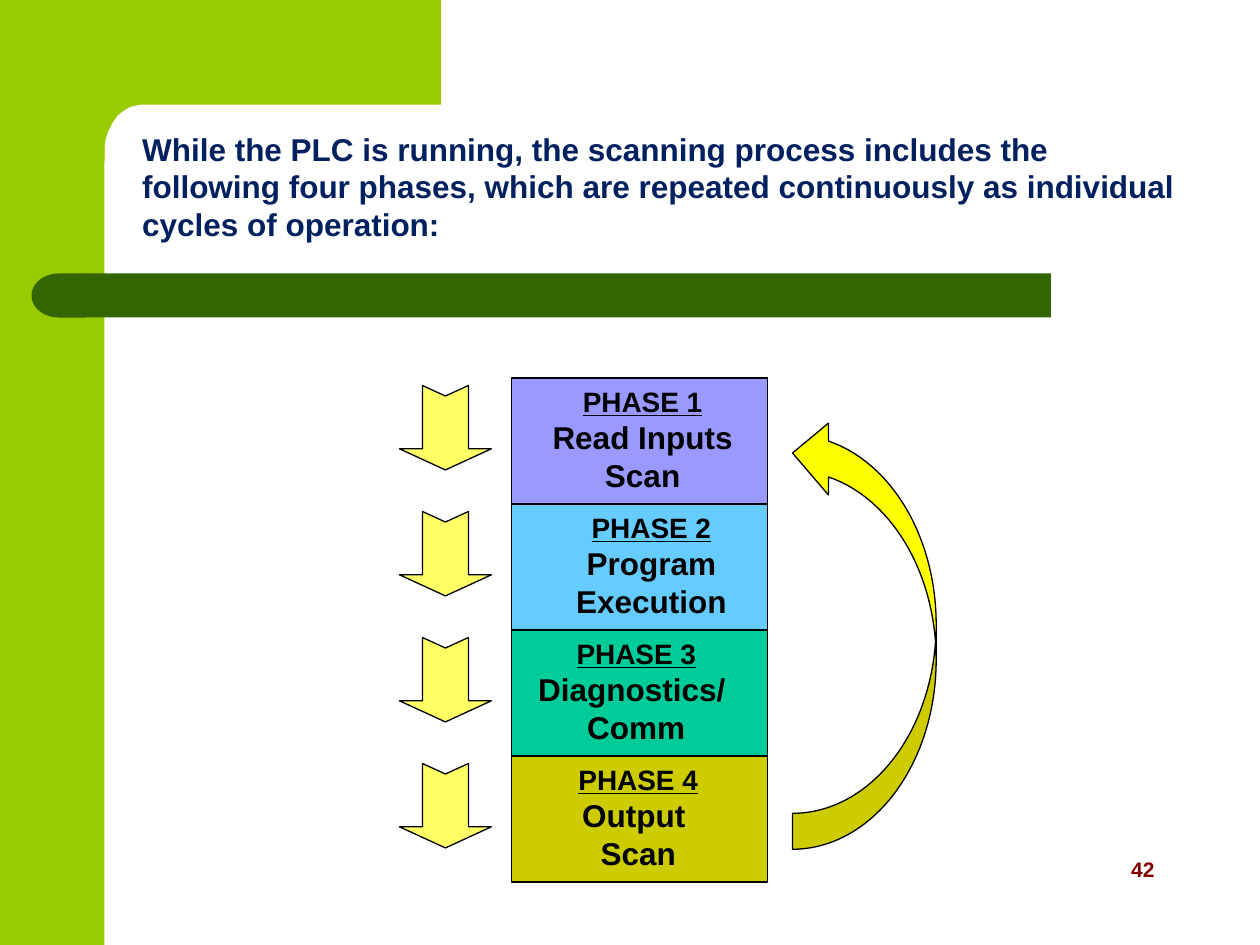
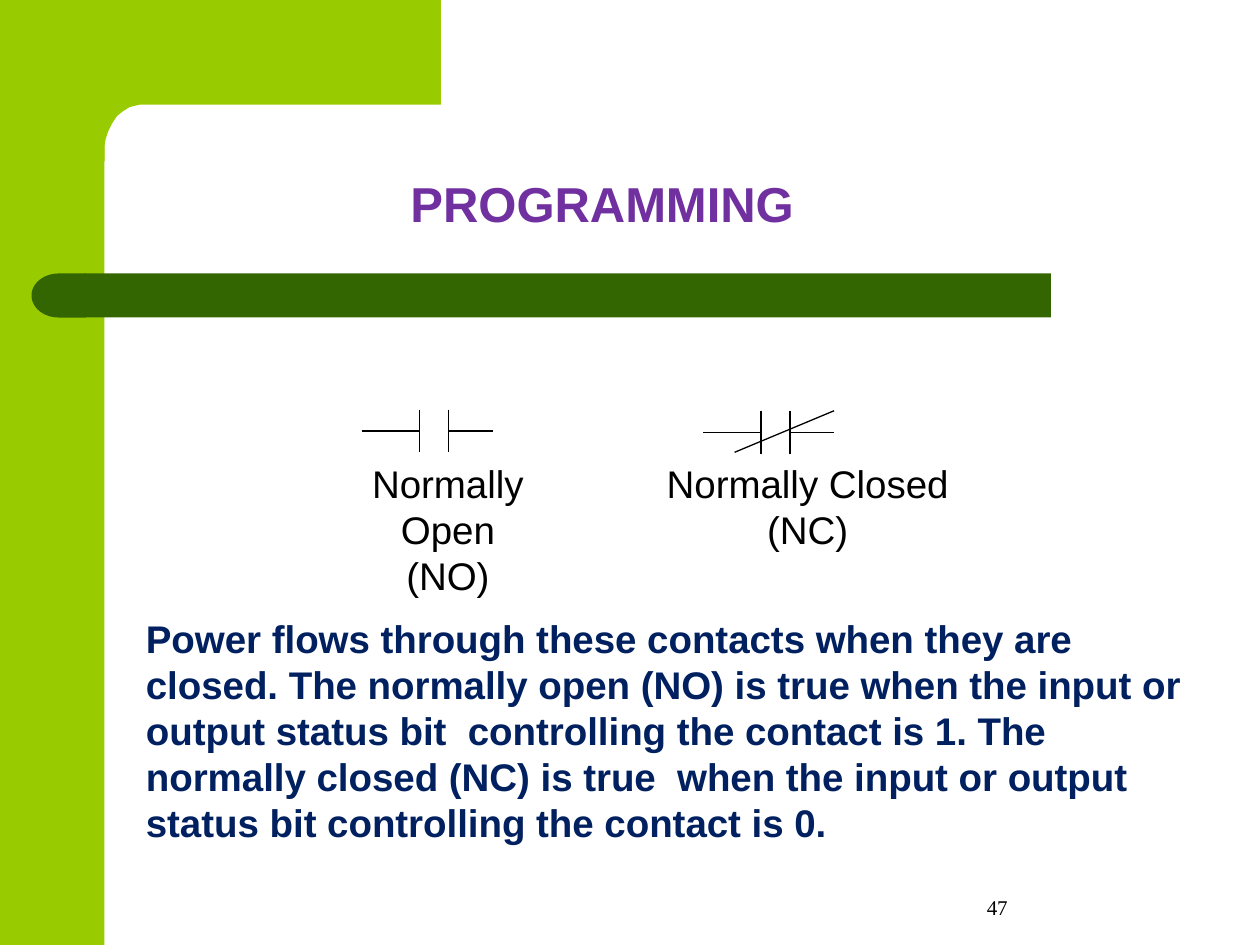
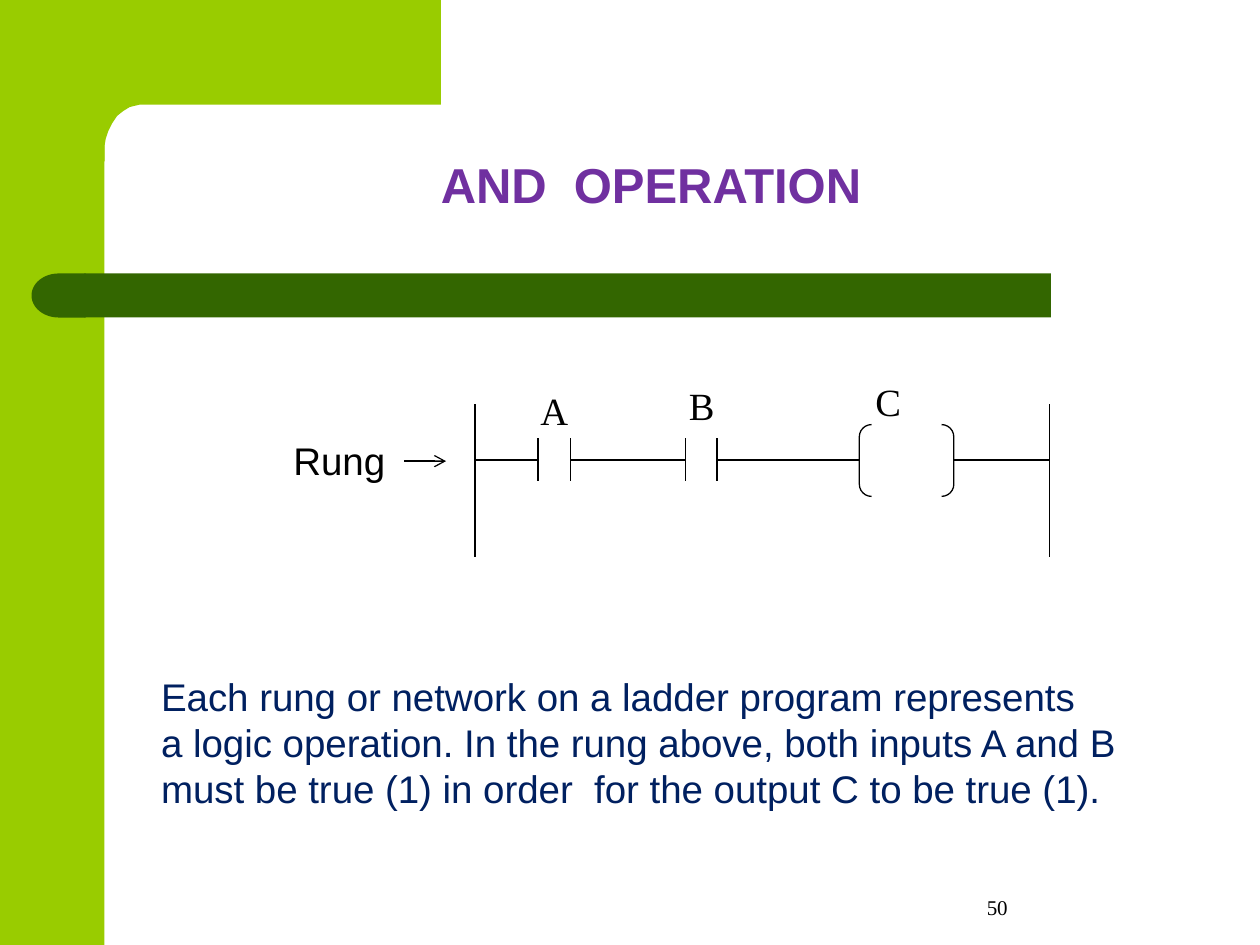
from dataclasses import dataclass

from lxml import etree
from pptx import Presentation
from pptx.dml.color import RGBColor
from pptx.enum import shapes, text
from pptx.oxml.ns import qn
from pptx.util import Inches, Pt

SHAPE = shapes.MSO_SHAPE
CENTER = text.PP_ALIGN.CENTER


@dataclass(frozen=True)
class Theme:
    lime: str = "99CC00"
    forest: str = "336600"
    navy: str = "002060"
    purple: str = "7030A0"
    maroon: str = "800000"
    black: str = "000000"
    pale_yellow: str = "FFFF66"
    yellow: str = "FFFF00"
    phases: tuple = ("9999FF", "66CCFF", "00CC99", "CCCC00")
    sans: str = "Arial"
    serif: str = "Times New Roman"
    title: int = 28
    body: int = 22
    lead: int = 18
    heading: int = 16
    number: int = 12
    stroke: float = 0.75


THEME = Theme()


def write(frame, line, size=THEME.body, color=THEME.black, font=THEME.sans,
          bold=False, underline=False, align=None):
    """Put one line in the frame, as a new paragraph if it already has text."""
    paragraph = frame.add_paragraph() if frame.text else frame.paragraphs[0]
    paragraph.alignment = align
    run = paragraph.add_run()
    run.text = line
    run.font.size = Pt(size)
    run.font.name = font
    run.font.bold = bold
    run.font.underline = underline
    run.font.color.rgb = RGBColor.from_string(color)


class Deck:
    CORNER = [(3.5, 0), (3.5, 0.83), (1.11, 0.83), (1.03, 0.85), (0.98, 0.88),
              (0.93, 0.92), (0.89, 0.98), (0.86, 1.04), (0.84, 1.1),
              (0.83, 1.16), (0.83, 1.28), (0.5, 1.28), (0.5, 0)]

    def __init__(self, theme):
        self.theme = theme
        self.file = Presentation()
        self.file.slide_width, self.file.slide_height = Inches(10), Inches(7.5)
        self.slide = None

    def new_slide(self):
        """Start a slide with the green corner and the title bar."""
        self.slide = self.file.slides.add_slide(self.file.slide_layouts[6])
        lime, forest = self.theme.lime, self.theme.forest
        self.shape(SHAPE.RECTANGLE, 0, 0, 0.83, 7.5, lime)
        start, *rest = [(Inches(x), Inches(y)) for x, y in self.CORNER]
        outline = self.slide.shapes.build_freeform(*start)
        outline.add_line_segments(rest)
        self.paint(outline.convert_to_shape(), lime)
        self.shape(SHAPE.RECTANGLE, 0.67, 2.17, 7.67, 0.35, forest)
        self.shape(SHAPE.FLOWCHART_DELAY, 0.25, 2.17, 0.43, 0.35, forest, turn=180)

    def paint(self, shape, fill=None, outlined=False):
        shape.shadow.inherit = False
        if fill:
            shape.fill.solid()
            shape.fill.fore_color.rgb = RGBColor.from_string(fill)
        else:
            shape.fill.background()
        if outlined:
            shape.line.color.rgb = RGBColor.from_string(self.theme.black)
            shape.line.width = Pt(self.theme.stroke)
        else:
            shape.line.fill.background()

    def shape(self, kind, left, top, width, height, fill=None, outlined=False,
              turn=0, adjust=()):
        shape = self.slide.shapes.add_shape(
            kind, Inches(left), Inches(top), Inches(width), Inches(height))
        for index, value in enumerate(adjust):
            shape.adjustments[index] = value
        shape.rotation = turn
        self.paint(shape, fill, outlined)

    def box(self, left, top, width, height, *lines, wrap=False, anchor=None, **style):
        """Add a text box with one paragraph per line; return its text frame."""
        frame = self.slide.shapes.add_textbox(
            Inches(left), Inches(top), Inches(width), Inches(height)).text_frame
        frame.word_wrap = wrap
        frame.vertical_anchor = anchor
        if not anchor:
            frame.auto_size = text.MSO_AUTO_SIZE.SHAPE_TO_FIT_TEXT
        for line in lines:
            write(frame, line, **style)
        return frame

    def title(self, left, top, width, line):
        self.box(left, top, width, 0.57, line, size=self.theme.title,
                 color=self.theme.purple, bold=True)

    def page_number(self, number):
        self.box(6.33, 6.83, 3.17, 0.52, number, wrap=True,
                 anchor=text.MSO_ANCHOR.BOTTOM, size=self.theme.number,
                 font=self.theme.serif, align=CENTER)

    def line(self, x1, y1, x2, y2, arrow=False):
        line = self.slide.shapes.add_connector(
            shapes.MSO_CONNECTOR.STRAIGHT,
            Inches(x1), Inches(y1), Inches(x2), Inches(y2))
        line.line.color.rgb = RGBColor.from_string(self.theme.black)
        line.line.width = Pt(self.theme.stroke)
        properties = line.element.spPr
        if arrow:
            etree.SubElement(properties.find(qn("a:ln")), qn("a:tailEnd"), type="arrow")
        etree.SubElement(properties, qn("a:effectLst"))

    def contact(self, start, plate, other_plate, end, y):
        """Draw two upright plates with a wire leading to each."""
        for x in (plate, other_plate):
            self.line(x, y - 0.17, x, y + 0.17)
        self.line(start, y, plate, y)
        self.line(other_plate, y, end, y)


def scan_phases(deck):
    theme = deck.theme
    deck.new_slide()
    deck.box(8.88, 6.75, 0.4, 0.3, "42", size=theme.number, color=theme.maroon, bold=True)
    deck.box(1.03, 0.98, 8.5, 1,
             "While the PLC is running, the scanning process includes the following "
             "four phases, which are repeated continuously as individual cycles of "
             "operation:",
             wrap=True, size=theme.lead, color=theme.navy, bold=True)
    phases = [("Read Inputs", "Scan", 4.14, 1.92),
              ("Program", "Execution", 4.28, 1.78),
              ("Diagnostics/ ", "Comm", 4.03, 2.04),
              ("Output ", "Scan", 4.07, 1.99)]
    for index, (first, second, left, width) in enumerate(phases):
        top = 3 + index
        deck.shape(SHAPE.RECTANGLE, 4.06, top, 2.03, 1, theme.phases[index], outlined=True)
        label = deck.box(left, top, width, 0.97, f"PHASE {index + 1}", wrap=True,
                         size=theme.heading, bold=True, underline=True, align=CENTER)
        for line in (first, second):
            write(label, line, size=theme.lead, bold=True, align=CENTER)
        deck.shape(SHAPE.NOTCHED_RIGHT_ARROW, 3.2, top + 0.03, 0.67, 0.73,
                   theme.pale_yellow, outlined=True, turn=90, adjust=(0.5, 0.25))
    deck.shape(SHAPE.CURVED_RIGHT_ARROW, 6.29, 3.31, 1.14, 3.43, theme.yellow,
               outlined=True, turn=180)


def programming(deck):
    deck.new_slide()
    deck.page_number("47")
    deck.title(3.16, 1.33, 3.24, "PROGRAMMING")
    deck.contact(2.87, 3.33, 3.56, 3.91, 3.42)
    deck.contact(5.58, 6.04, 6.27, 6.62, 3.43)
    deck.line(5.83, 3.59, 6.62, 3.26)
    deck.box(2.44, 3.6, 2.23, 0.84, "Normally Open", "(NO)", align=CENTER)
    deck.box(5.19, 3.6, 2.44, 0.84, "Normally Closed", "(NC)", align=CENTER)
    deck.box(1.06, 4.83, 8.44, 2.3,
             "Power flows through these contacts when they are closed. The normally "
             "open (NO) is true when the input or output status bit  controlling the "
             "contact is 1. The normally closed (NC) is true  when the input or output "
             "status bit controlling the contact is 0.",
             wrap=True, color=deck.theme.navy, bold=True)


def and_operation(deck):
    deck.new_slide()
    deck.page_number("50")
    deck.title(3.4, 1.18, 3.56, "AND  OPERATION")
    deck.box(1.18, 5.29, 7.81, 1.2,
             "Each rung or network on a ladder program represents",
             "a logic operation. In the rung above, both inputs A and B",
             "must be true (1) in order  for the output C to be true (1).",
             color=deck.theme.navy)
    left_rail, right_rail, rung = 3.77, 8.33, 3.65
    for rail in (left_rail, right_rail):
        deck.line(rail, 3.21, rail, 4.42)
    deck.contact(left_rail, 4.27, 4.53, 4.93, rung)
    deck.contact(4.93, 5.44, 5.69, 6.82, rung)
    deck.shape(SHAPE.DOUBLE_BRACKET, 6.82, 3.37, 0.75, 0.57, outlined=True, adjust=(0.17,))
    deck.line(7.57, rung, right_rail, rung)
    deck.line(3.21, 3.66, 3.54, 3.66, arrow=True)
    deck.box(2.23, 3.42, 0.93, 0.47, "Rung")
    for name, left, top in (("A", 4.19, 3.02), ("B", 5.37, 2.98), ("C", 6.85, 2.95)):
        deck.box(left, top, 0.4, 0.47, name, font=deck.theme.serif)


def main():
    deck = Deck(THEME)
    for build in (scan_phases, programming, and_operation):
        build(deck)
    deck.file.save("out.pptx")


if __name__ == "__main__":
    main()
